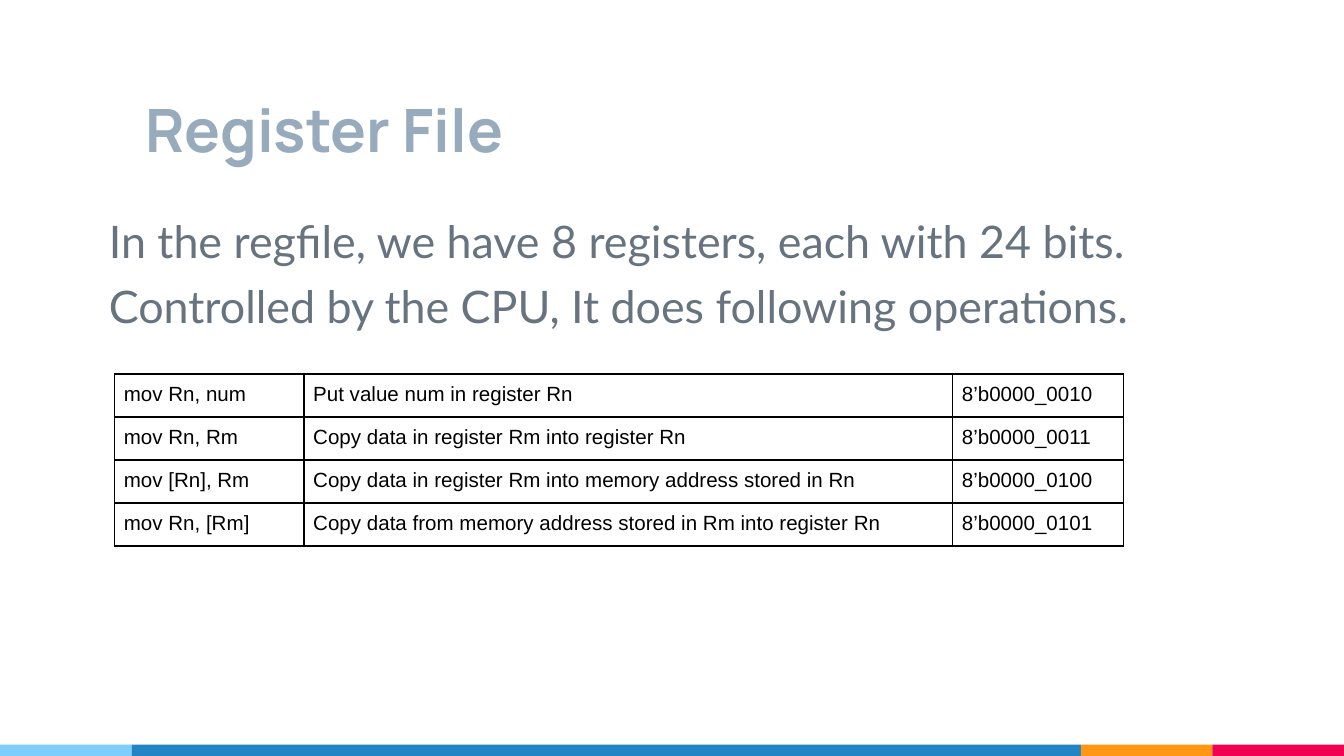
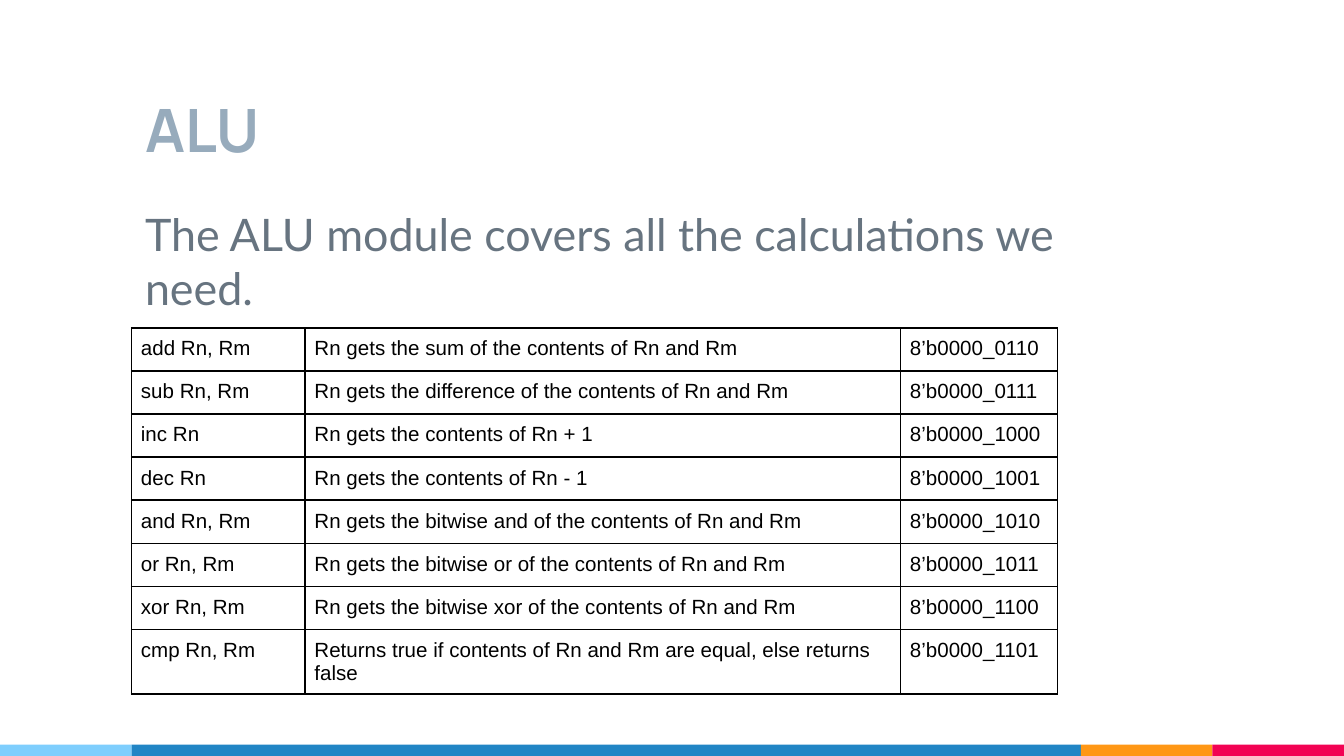
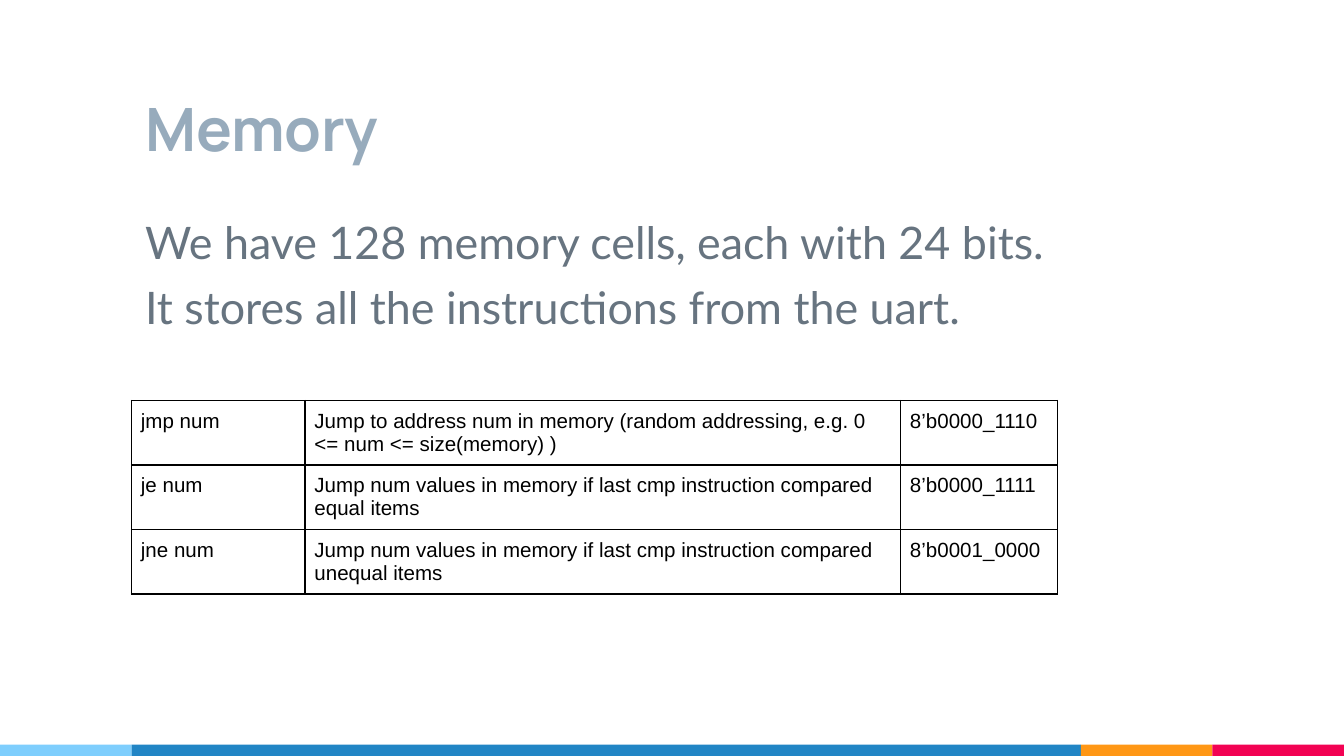
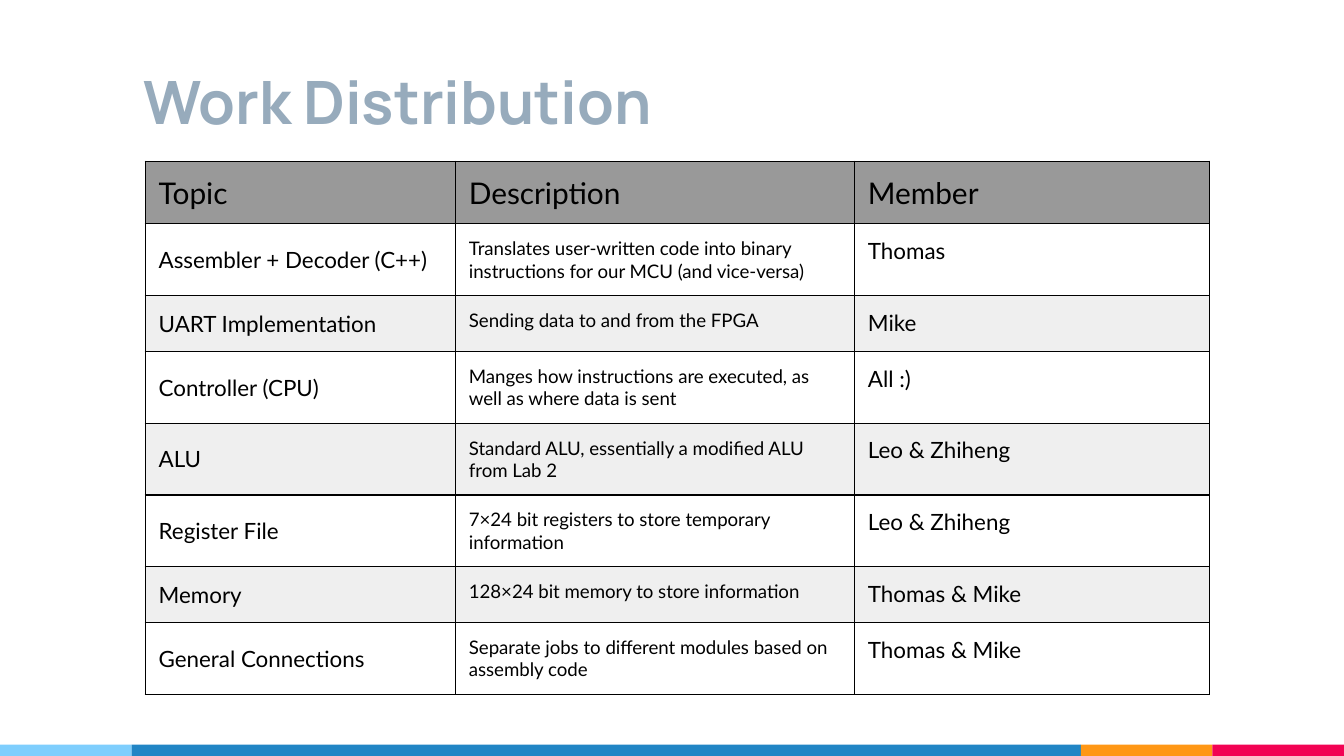
from lxml.etree import SubElement
from pptx import Presentation
from pptx.dml.color import RGBColor
from pptx.enum.shapes import MSO_SHAPE
from pptx.enum.text import MSO_ANCHOR, MSO_AUTO_SIZE, PP_ALIGN
from pptx.oxml import parse_xml
from pptx.oxml.ns import nsdecls, qn
from pptx.util import Pt

BLACK = RGBColor(0x00, 0x00, 0x00)
TITLE_BLUE = RGBColor(0x97, 0xAB, 0xBC)
BODY_GREY = RGBColor(0x67, 0x74, 0x80)
HEADER_GREY = RGBColor(0x99, 0x99, 0x99)
STRIPE_GREY = RGBColor(0xEF, 0xEF, 0xEF)
SKY = RGBColor(0x7E, 0xCE, 0xFD)
BLUE = RGBColor(0x21, 0x85, 0xC5)
ORANGE = RGBColor(0xFF, 0x97, 0x15)
RED = RGBColor(0xF2, 0x02, 0x53)

TITLE_FONT = {"name": "Manrope", "size": Pt(32), "bold": True}
BODY_FONT = {"name": "Lato", "size": Pt(24)}
CODE_FONT = {"name": "Arial", "size": Pt(11)}
TITLE_W, TITLE_H, BODY_H = 509.1, 67.5, 279.4
BAND_Y, BAND_H = 398.9, 6.1


def write(tf, lines, font, color, inset=7.2):
    for side in ("left", "right", "top", "bottom"):
        setattr(tf, f"margin_{side}", Pt(inset))
    tf.word_wrap = True
    for i, line in enumerate(lines):
        p = tf.paragraphs[0] if i == 0 else tf.add_paragraph()
        p.alignment = PP_ALIGN.LEFT
        r = p.add_run()
        r.text = line
        for name, value in font.items():
            setattr(r.font, name, value)
        r.font.color.rgb = color


def add_grid(s, x, y, widths, row_h, rows, border):
    frame = s.shapes.add_table(len(rows), len(widths), Pt(x), Pt(y),
                               Pt(sum(widths)), Pt(row_h * len(rows)))
    table = frame.table
    table.first_row = table.horz_banding = False
    for column, width in zip(table.columns, widths):
        column.width = Pt(width)
    for row in table.rows:
        row.height = Pt(row_h)
    for cell in table.iter_cells():
        cell.fill.background()
        tcPr = cell._tc.get_or_add_tcPr()
        for i, side in enumerate(("lnL", "lnR", "lnT", "lnB")):
            ln = parse_xml(f'<a:{side} {nsdecls("a")} w="{Pt(border)}"><a:solidFill>'
                           f'<a:srgbClr val="{BLACK}"/></a:solidFill></a:{side}>')
            tcPr.insert(i, ln)
    return table


MODULES = [
    {
        "title": "Register File", "title_y": 28.1,
        "body": ["In the regfile, we have 8 registers, each with 24 bits.",
                 "Controlled by the CPU, It does following operations."],
        "body_box": (51.1, 107.3, 638), "table_at": (61.3, 200.3),
        "widths": (101.5, 347.5, 91.5),
        "rows": [
            ("mov Rn, num", "Put value num in register Rn", "8’b0000_0010"),
            ("mov Rn, Rm", "Copy data in register Rm into register Rn", "8’b0000_0011"),
            ("mov [Rn], Rm", "Copy data in register Rm into memory address stored in Rn",
             "8’b0000_0100"),
            ("mov Rn, [Rm]", "Copy data from memory address stored in Rm into register Rn",
             "8’b0000_0101"),
        ],
    },
    {
        "title": "ALU", "title_y": 28.1,
        "body": ["The ALU module covers all the calculations we need."],
        "body_box": (70.5, 103.7, TITLE_W), "table_at": (70.5, 175.7),
        "widths": (93, 319, 84),
        "rows": [
            ("add Rn, Rm", "Rn gets the sum of the contents of Rn and Rm", "8’b0000_0110"),
            ("sub Rn, Rm", "Rn gets the difference of the contents of Rn and Rm",
             "8’b0000_0111"),
            ("inc Rn", "Rn gets the contents of Rn + 1", "8’b0000_1000"),
            ("dec Rn", "Rn gets the contents of Rn - 1", "8’b0000_1001"),
            ("and Rn, Rm", "Rn gets the bitwise and of the contents of Rn and Rm",
             "8’b0000_1010"),
            ("or Rn, Rm", "Rn gets the bitwise or of the contents of Rn and Rm",
             "8’b0000_1011"),
            ("xor Rn, Rm", "Rn gets the bitwise xor of the contents of Rn and Rm",
             "8’b0000_1100"),
            ("cmp Rn, Rm", "Returns true if contents of Rn and Rm are equal, else returns false",
             "8’b0000_1101"),
        ],
    },
    {
        "title": "Memory", "title_y": 27.2,
        "body": ["We have 128 memory cells, each with 24 bits.",
                 "It stores all the instructions from the uart."],
        "body_box": (70.5, 108, TITLE_W), "table_at": (70.5, 214.6),
        "widths": (93, 319, 84),
        "rows": [
            ("jmp num", "Jump to address num in memory (random addressing, e.g. 0 <= num <= "
             "size(memory) )", "8’b0000_1110"),
            ("je num", "Jump num values in memory if last cmp instruction compared equal items",
             "8’b0000_1111"),
            ("jne num", "Jump num values in memory if last cmp instruction compared unequal items",
             "8’b0001_0000"),
        ],
    },
]

WORK = [
    ("Topic", "Description", "Member"),
    ("Assembler + Decoder (C++)",
     "Translates user-written code into binary instructions for our MCU (and vice-versa)",
     "Thomas"),
    ("UART Implementation", "Sending data to and from the FPGA", "Mike"),
    ("Controller (CPU)", "Manges how instructions are executed, as well as where data is sent",
     "All :)"),
    ("ALU", "Standard ALU, essentially a modified ALU from Lab 2", "Leo & Zhiheng"),
    ("Register File", "7×24 bit registers to store temporary information", "Leo & Zhiheng"),
    ("Memory", "128×24 bit memory to store information", "Thomas & Mike"),
    ("General Connections", "Separate jobs to different modules based on assembly code",
     "Thomas & Mike"),
]

prs = Presentation()
prs.slide_width, prs.slide_height = Pt(720), Pt(405)
master = prs.slide_master

for module in MODULES:
    s = prs.slides.add_slide(prs.slide_layouts[1])
    title, body = s.placeholders
    title.left, title.top = Pt(70.5), Pt(module["title_y"])
    write(title.text_frame, [module["title"]], TITLE_FONT, TITLE_BLUE)

    x, y, w = module["body_box"]
    body.left, body.top, body.width, body.height = Pt(x), Pt(y), Pt(w), Pt(BODY_H)
    tf = body.text_frame
    tf.auto_size = MSO_AUTO_SIZE.NONE
    write(tf, module["body"], BODY_FONT, BODY_GREY)
    for p in tf.paragraphs:
        p.space_before = Pt(6)
        pPr = p._p.get_or_add_pPr()
        pPr.set("marL", "0")
        pPr.set("indent", "0")
        SubElement(pPr, qn("a:buNone"))

    x, y = module["table_at"]
    table = add_grid(s, x, y, module["widths"], 23.1, module["rows"], 1)
    for i, row in enumerate(module["rows"]):
        for j, text in enumerate(row):
            cell = table.cell(i, j)
            write(cell.text_frame, [text], CODE_FONT, BLACK)
            for side in ("left", "right", "top", "bottom"):
                setattr(cell, f"margin_{side}", Pt(5))

s = prs.slides.add_slide(prs.slide_layouts[5])
title = s.shapes.title
title.left, title.top = Pt(69.8), Pt(13)
write(title.text_frame, ["Work Distribution"], TITLE_FONT, TITLE_BLUE)
table = add_grid(s, 77.8, 86.4, (166.2, 213.8, 190.2), 30, WORK, 0.75)
for i, row in enumerate(WORK):
    for j, text in enumerate(row):
        cell = table.cell(i, j)
        size = 16 if i == 0 else (12, 10, 12)[j]
        write(cell.text_frame, [text], {"name": "Lato", "size": Pt(size)}, BLACK)
        for side in ("left", "right", "top", "bottom"):
            setattr(cell, f"margin_{side}", Pt(7.2))
        if i == 0:
            cell.vertical_anchor = MSO_ANCHOR.BOTTOM
        elif j == 0:
            cell.vertical_anchor = MSO_ANCHOR.MIDDLE
        if i % 2 == 0:
            cell.fill.solid()
            cell.fill.fore_color.rgb = STRIPE_GREY if i else HEADER_GREY

for s in prs.slides:
    title = s.shapes.title
    title.width, title.height = Pt(TITLE_W), Pt(TITLE_H)
    title.text_frame.vertical_anchor = MSO_ANCHOR.BOTTOM
    title.text_frame.auto_size = MSO_AUTO_SIZE.NONE

x = 0
for i, (color, w) in enumerate([(SKY, 70.5), (BLUE, 508.5), (ORANGE, 70.5), (RED, 70.5)]):
    band = s.shapes.add_shape(MSO_SHAPE.RECTANGLE, Pt(x), Pt(BAND_Y), Pt(w), Pt(BAND_H))
    band.shadow.inherit = False
    band.fill.solid()
    band.fill.fore_color.rgb = color
    band.line.fill.background()
    band.element.nvSpPr.cNvPr.set("id", str(20 + i))
    master.shapes.element.append(band.element)
    x += w

prs.save("out.pptx")
